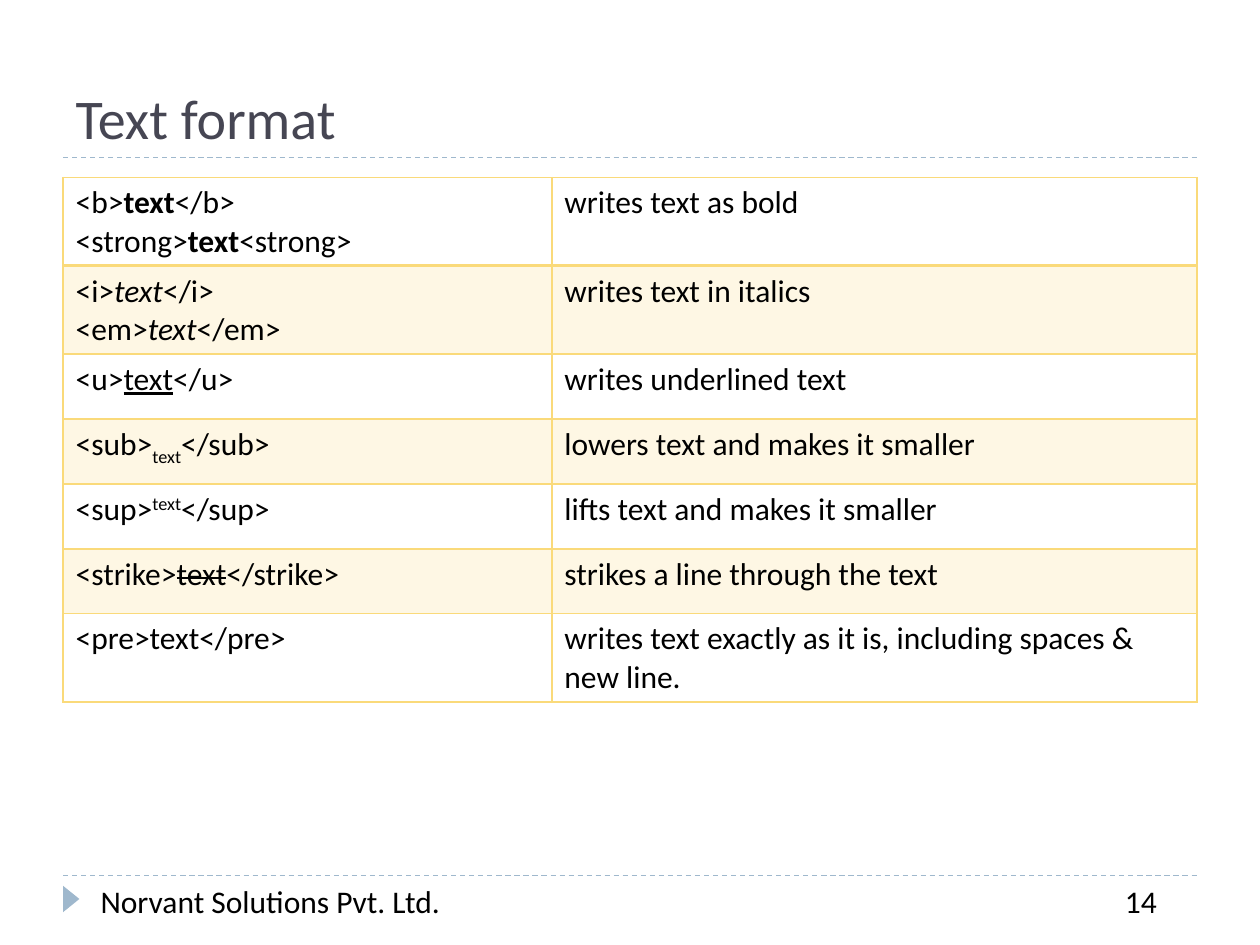
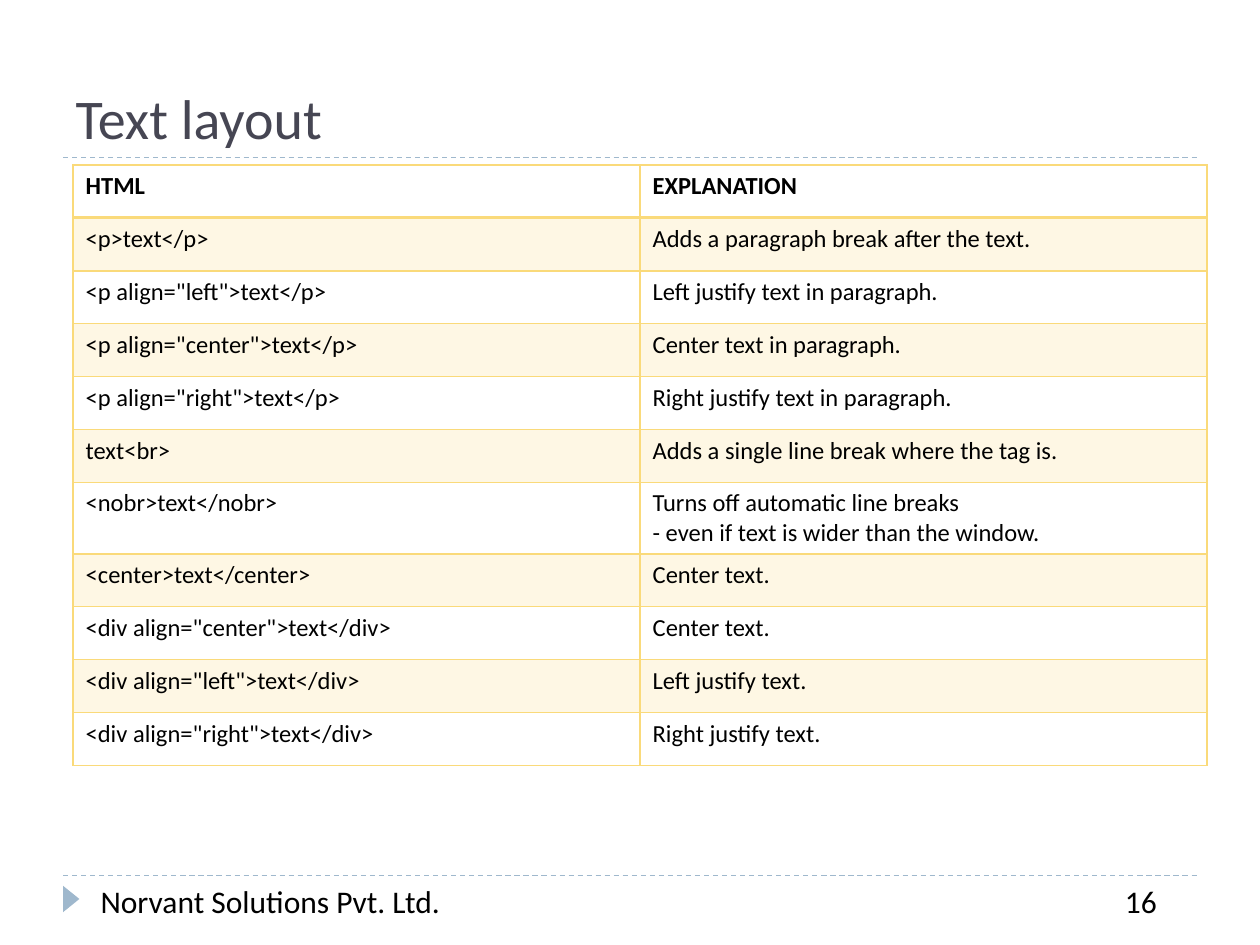
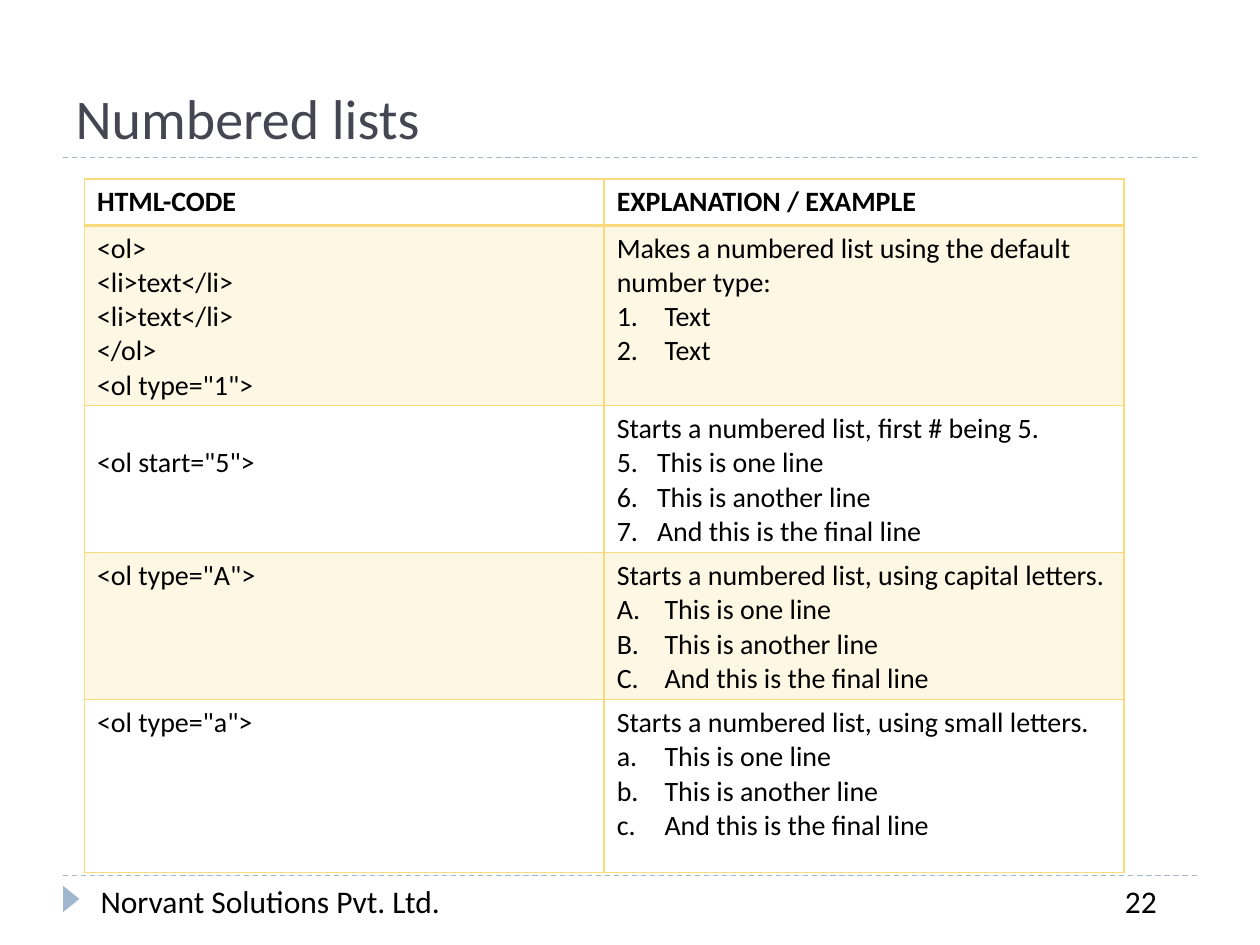
import dataclasses
import lxml.etree
import pptx
import pptx.dml.color
import pptx.enum.dml
import pptx.enum.shapes
import pptx.enum.text
import pptx.oxml
import pptx.oxml.ns
import pptx.util

Inches = pptx.util.Inches
qn = pptx.oxml.ns.qn


# Theme: colours, font and type sizes
@dataclasses.dataclass(frozen=True)
class Theme:
    font: str = "Calibri"
    ink: str = "000000"
    head: str = "464653"
    rule: str = "9FB8CD"
    gold: str = "FADA7A"
    tint: int = 20
    title: int = 32
    foot: int = 18


@dataclasses.dataclass(frozen=True)
class Box:
    left: float
    top: float
    width: float
    height: float = 0

    def place(self):
        return [Inches(n) for n in (self.left, self.top, self.width, self.height)]


# One table row: mark styles the word "text", count numbers the note's lines
@dataclasses.dataclass(frozen=True)
class Row:
    code: str
    note: str
    height: float
    mark: dict = dataclasses.field(default_factory=dict)
    count: tuple = ()
    drop: float = 0.05


THEME = Theme()
PAGE = Box(0.5, 0.17, 9, 7.18)
FIRM = "Norvant Solutions Pvt. Ltd."


def paint(color):
    return pptx.dml.color.RGBColor.from_string(color)


def style(par, size, color=THEME.ink, bold=False):
    for run in par.runs:
        run.font.name = THEME.font
        run.font.size = pptx.util.Pt(size)
        run.font.color.rgb = paint(color)
        run.font.bold = bold


# Shared parts of every slide
def rule(slide, box, drop):
    top = Inches(box.top + drop)
    line = slide.shapes.add_connector(
        pptx.enum.shapes.MSO_CONNECTOR.STRAIGHT,
        Inches(box.left), top, Inches(box.left + box.width), top)
    line.line.color.rgb = paint(THEME.rule)
    line.line.width = pptx.util.Pt(0.75)
    line.line.dash_style = pptx.enum.dml.MSO_LINE.DASH
    lxml.etree.SubElement(line._element.spPr, qn("a:effectLst"))


def header(slide, box, text):
    title = slide.shapes.title
    title.left, title.top, title.width, title.height = box.place()
    frame = title.text_frame
    frame.text = text
    frame.vertical_anchor = pptx.enum.text.MSO_ANCHOR.BOTTOM
    frame.paragraphs[0].alignment = pptx.enum.text.PP_ALIGN.LEFT
    style(frame.paragraphs[0], THEME.title, THEME.head)
    rule(slide, box, box.height)


def footer(slide, box, number):
    rule(slide, box, 0)
    mark = slide.shapes.add_shape(
        pptx.enum.shapes.MSO_SHAPE.ISOSCELES_TRIANGLE,
        *Box(box.left - 0.04, box.top + 0.12, 0.21, 0.13).place())
    mark.rotation = 90
    mark.shadow.inherit = False
    mark.fill.solid()
    mark.fill.fore_color.rgb = paint(THEME.rule)
    mark.line.fill.background()
    for text, left, width in ((FIRM, 0.2, 3.8), (str(number), 8.33, 0.67)):
        note = slide.shapes.add_textbox(
            *Box(box.left + left, box.top, width, box.height).place())
        note.text_frame.word_wrap = True
        note.text_frame.text = text
        style(note.text_frame.paragraphs[0], THEME.foot)


def sheet(deck, title, number):
    slide = deck.slides.add_slide(deck.slide_layouts[5])
    header(slide, Box(PAGE.left, PAGE.top, PAGE.width, 1.08), title)
    footer(slide, Box(PAGE.left, PAGE.top + 6.78, PAGE.width, 0.4), number)
    return slide


# Table cells
def border(cell, widths):
    props = cell._tc.get_or_add_tcPr()
    for place, (side, width) in enumerate(widths.items()):
        line = pptx.oxml.parse_xml(
            '<a:%s xmlns:a="http://schemas.openxmlformats.org/drawingml/2006/main"'
            ' w="%d"><a:solidFill><a:srgbClr val="%s"/></a:solidFill></a:%s>'
            % (side, pptx.util.Pt(width), THEME.gold, side))
        props.insert(place, line)


def shade(cell, band):
    if not band:
        cell.fill.background()
        return
    cell.fill.solid()
    cell.fill.fore_color.rgb = paint(THEME.gold)
    color = cell._tc.tcPr.find(".//" + qn("a:srgbClr"))
    lxml.etree.SubElement(color, qn("a:alpha"), val=str(THEME.tint * 1000))


def accent(par, mark):
    parts = par.text.partition("text")
    par.text = parts[0]
    for part in parts[1:]:
        par.add_run().text = part
    props = par.runs[1]._r.get_or_add_rPr()
    for name, value in mark.items():
        props.set(name, value)


def enlist(par, kind, start, indent):
    props = par._p.get_or_add_pPr()
    props.set("marL", str(Inches(indent)))
    props.set("indent", str(-Inches(indent)))
    lxml.etree.SubElement(props, qn("a:buFont"), typeface="+mj-lt")
    item = lxml.etree.SubElement(props, qn("a:buAutoNum"), type=kind)
    if start > 1:
        item.set("startAt", str(start))


def grid(slide, box, cols, rows, size, headed=True):
    height = sum(row.height for row in rows)
    frame = Box(box.left, box.top, box.width, height).place()
    table = slide.shapes.add_table(len(rows), len(cols), *frame).table
    table.first_row = table.horz_banding = False
    for col, width in zip(table.columns, cols):
        col.width = Inches(width)
    for r, row in enumerate(rows):
        table.rows[r].height = Inches(row.height)
        for c, text in enumerate((row.code, row.note)):
            cell = table.cell(r, c)
            cell.text_frame.text = text
            for p, par in enumerate(cell.text_frame.paragraphs):
                if row.count and c == 1 and p > 0:
                    enlist(par, *row.count)
                style(par, size, bold=headed and r == 0)
                if row.mark and c == 0:
                    accent(par, row.mark)
                    for run in par.runs:
                        run.font.name = THEME.font
                        run.font.size = pptx.util.Pt(size)
                        run.font.color.rgb = paint(THEME.ink)
            if c == 0:
                cell.margin_top = Inches(row.drop)
            shade(cell, r % 2)
            border(cell, {"lnL": 1, "lnR": 1, "lnT": 2 if r == 1 else 1,
                          "lnB": 2 if r == 0 else 1})


# Slides
def formats(deck):
    slide = sheet(deck, "Text format", 14)
    lines = (
        ("<b>text</b>\n<strong>text<strong>", "writes text as bold", {"b": "1"}),
        ("<i>text</i>\n<em>text</em>", "writes text in italics", {"i": "1"}),
        ("<u>text</u>", "writes underlined text", {"u": "sng"}),
        ("<sub>text</sub>", "lowers text and makes it smaller",
         {"baseline": "-25000"}),
        ("<sup>text</sup>", "lifts text and makes it smaller",
         {"baseline": "30000"}),
        ("<strike>text</strike>", "strikes a line through the text",
         {"strike": "sngStrike"}),
        ("<pre>text</pre>",
         "writes text exactly as it is, including spaces & new line.", {}),
    )
    rows = [Row(code, note, 0.515, mark) for code, note, mark in lines]
    grid(slide, Box(0.5, 1.41, 9), (3.88, 5.12), rows, 18, headed=False)


def layouts(deck):
    slide = sheet(deck, "Text layout", 16)
    lines = (
        ("HTML", "EXPLANATION"),
        ("<p>text</p>", "Adds a paragraph break after the text."),
        ('<p align="left">text</p>', "Left justify text in paragraph."),
        ('<p align="center">text</p>', "Center text in paragraph."),
        ('<p align="right">text</p>', "Right justify text in paragraph."),
        ("text<br>", "Adds a single line break where the tag is."),
        ("<nobr>text</nobr>", "Turns off automatic line breaks\n"
         "- even if text is wider than the window."),
        ("<center>text</center>", "Center text."),
        ('<div align="center">text</div>', "Center text."),
        ('<div align="left">text</div>', "Left justify text."),
        ('<div align="right">text</div>', "Right justify text."),
    )
    rows = [Row(code, note, 0.55 if "\n" in note else 0.42)
            for code, note in lines]
    grid(slide, Box(0.58, 1.31, 9), (4.5, 4.5), rows, 14)


def lists(deck):
    slide = sheet(deck, "Numbered lists", 22)
    items = "\nThis is one line\nThis is another line\nAnd this is the final line"
    rows = (
        Row("HTML-CODE", "EXPLANATION / EXAMPLE", 0.35),
        Row('<ol>\n<li>text</li>\n<li>text</li>\n</ol>\n<ol type="1">',
            "Makes a numbered list using the default number type:\nText\nText",
            1.37, count=("arabicPeriod", 1, 0.38)),
        Row('<ol start="5">', "Starts a numbered list, first # being 5." + items,
            1.12, count=("arabicPeriod", 5, 0.32), drop=0.32),
        Row('<ol type="A">',
            "Starts a numbered list, using capital letters." + items,
            1.12, count=("alphaUcPeriod", 1, 0.38)),
        Row('<ol type="a">',
            "Starts a numbered list, using small letters." + items,
            1.37, count=("alphaLcPeriod", 1, 0.38)),
    )
    grid(slide, Box(0.67, 1.42, 8.25), (4.125, 4.125), rows, 16)


def main():
    deck = pptx.Presentation()
    deck.slide_width, deck.slide_height = Inches(10), Inches(7.5)
    for build in (formats, layouts, lists):
        build(deck)
    deck.save("out.pptx")


if __name__ == "__main__":
    main()
